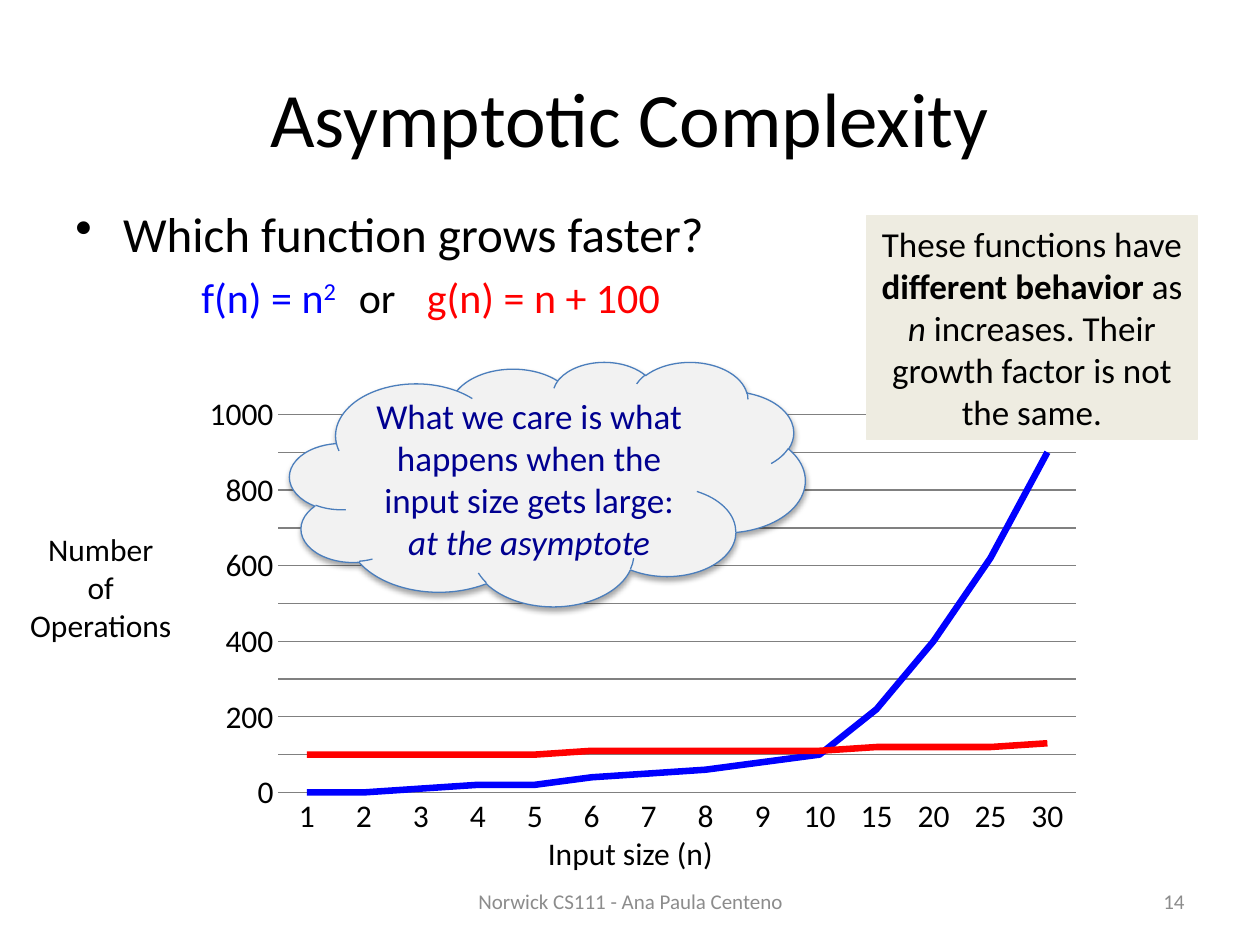
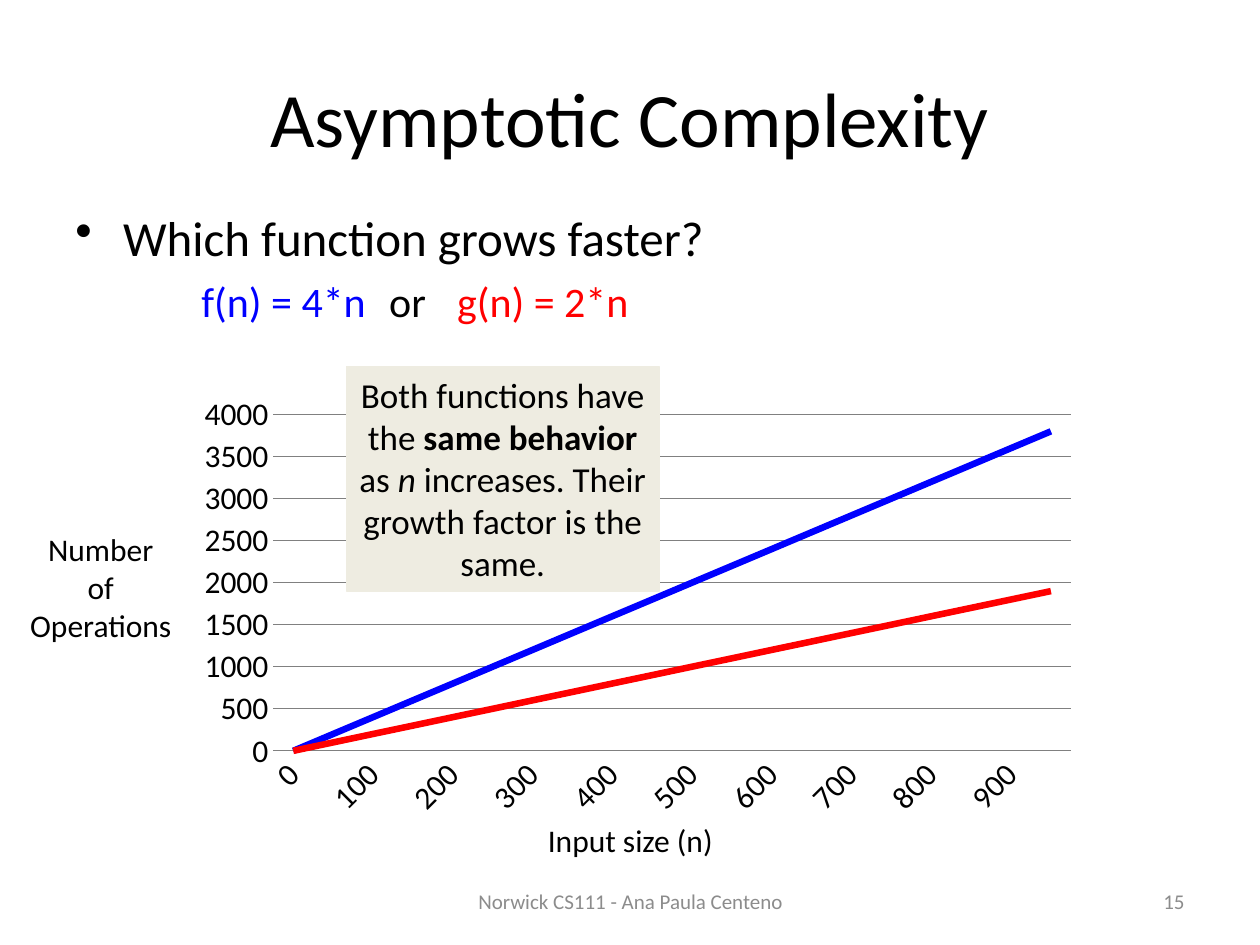
import lxml.etree
import pptx
import pptx.chart.data
import pptx.dml.color
import pptx.enum.chart
import pptx.enum.shapes
import pptx.enum.text
import pptx.oxml.ns
import pptx.util

PX = 9144  # 100 px to the inch
FONT = "Calibri"
BLACK, BLUE, RED, NAVY = "000000", "0000FF", "FF0000", "000090"
GREY, GRID, CREAM, CLOUD, CLOUD_EDGE = "8C8C8C", "808080", "EEECE1", "F2F2F2", "4B7EBC"
ALIGN = pptx.enum.text.PP_ALIGN
MIDDLE = pptx.enum.text.MSO_ANCHOR.MIDDLE
SHAPES = pptx.enum.shapes.MSO_SHAPE
qn = pptx.oxml.ns.qn

TITLE_BOX = (50, 30, 900, 125)
FOOTER_BOX = (342, 695, 317, 40)
NUMBER_BOX = (717, 695, 233, 40)
VALUE_LABEL_BOX = (13, 416, 134, 101)
FOOTER = "Norwick CS111 - Ana Paula Centeno"


def emu(box):
    return [length * PX for length in box]


def rgb(code):
    return pptx.dml.color.RGBColor.from_string(code)


def set_font(font, size, color=BLACK, bold=None, italic=None):
    font.name, font.size = FONT, pptx.util.Pt(size)
    font.color.rgb = rgb(color)
    font.bold, font.italic = bold, italic


def add_spans(para, size, spans):
    """Each span is a text followed by its style."""
    for text, style in spans:
        span = para.add_run()
        span.text = text
        set_font(span.font, size, **style)


def add_label(page, box, text, size, color=BLACK, align=ALIGN.LEFT, wrap=False, anchor=None):
    label = page.shapes.add_textbox(*emu(box))
    frame = label.text_frame
    frame.text = text
    frame.word_wrap, frame.vertical_anchor = wrap, anchor
    for para in frame.paragraphs:
        para.alignment = align
        for span in para.runs:
            set_font(span.font, size, color)


def add_shape(page, kind, box, fill, edge, spans):
    shape = page.shapes.add_shape(kind, *emu(box))
    shape.shadow.inherit = False
    shape.fill.solid()
    shape.fill.fore_color.rgb = rgb(fill)
    shape.line.color.rgb = rgb(edge)
    shape.line.width = pptx.util.Pt(0.75)
    shape.text_frame.word_wrap = True
    shape.text_frame.vertical_anchor = MIDDLE
    para = shape.text_frame.paragraphs[0]
    para.alignment = ALIGN.CENTER
    add_spans(para, 20, spans)
    return shape


def add_page(deck, number):
    page = deck.slides.add_slide(deck.slide_layouts[5])
    # Title
    title = page.shapes.title
    title.left, title.top, title.width, title.height = emu(TITLE_BOX)
    title.text_frame.text = "Asymptotic Complexity"
    title.text_frame.vertical_anchor = MIDDLE
    para = title.text_frame.paragraphs[0]
    para.alignment = ALIGN.CENTER
    set_font(para.runs[0].font, 44)
    # Footer and page number
    add_label(page, FOOTER_BOX, FOOTER, 12, GREY, ALIGN.CENTER, True, MIDDLE)
    add_label(page, NUMBER_BOX, str(number), 12, GREY, ALIGN.RIGHT, True, MIDDLE)
    return page


def add_question(page, box, f_text, g_text, tabs, exponent=""):
    frame = page.shapes.add_textbox(*emu(box)).text_frame
    frame.word_wrap = True
    # Bulleted question
    question = frame.paragraphs[0]
    properties = question._p.get_or_add_pPr()
    properties.set("marL", str(38 * PX))
    properties.set("indent", str(-38 * PX))
    lxml.etree.SubElement(properties, qn("a:buChar")).set("char", "•")
    add_spans(question, 28, [("Which function grows faster?", {})])
    # The two functions, set on tab stops
    functions = frame.add_paragraph()
    functions.space_before = pptx.util.Pt(4.8)
    stops = lxml.etree.SubElement(functions._p.get_or_add_pPr(), qn("a:tabLst"))
    for position in tabs:
        stop = lxml.etree.SubElement(stops, qn("a:tab"))
        stop.set("pos", str(position * PX))
        stop.set("algn", "l")
    add_spans(functions, 24, [("\t" + f_text, {"color": BLUE})])
    if exponent:
        add_spans(functions, 24, [(exponent, {"color": BLUE})])
        functions.runs[-1]._r.get_or_add_rPr().set("baseline", "30000")
    add_spans(functions, 24, [("\tor\t", {}), (g_text, {"color": RED})])


def place_plot(chart, box, plot):
    """Fix the inner plot area, given in page px, as shares of the chart box."""
    area = chart._chartSpace.chart.plotArea
    for old in area.findall(qn("c:layout")):
        area.remove(old)
    layout = lxml.etree.Element(qn("c:layout"))
    area.insert(0, layout)
    manual = lxml.etree.SubElement(layout, qn("c:manualLayout"))
    settings = {
        "layoutTarget": "inner", "xMode": "edge", "yMode": "edge",
        "x": (plot[0] - box[0]) / box[2], "y": (plot[1] - box[1]) / box[3],
        "w": plot[2] / box[2], "h": plot[3] / box[3],
    }
    for name, value in settings.items():
        lxml.etree.SubElement(manual, qn("c:" + name)).set("val", str(value))


def add_growth_chart(page, box, plot, sizes, f_values, g_values, top, step, slanted=False):
    data = pptx.chart.data.CategoryChartData()
    data.categories = [str(size) for size in sizes]
    data.add_series("Series 1", f_values)
    data.add_series("Series 2", g_values)
    kind = pptx.enum.chart.XL_CHART_TYPE.LINE
    chart = page.shapes.add_chart(kind, *emu(box), data).chart
    chart.has_legend = chart.has_title = False
    set_font(chart.font, 18)
    place_plot(chart, box, plot)
    # Lines
    chart.plots[0].vary_by_categories = False
    for series, color in zip(chart.plots[0].series, (BLUE, RED)):
        series.smooth = False
        series.format.line.color.rgb = rgb(color)
        series.format.line.width = pptx.util.Pt(3.75)
    # Axes
    across, up = chart.category_axis, chart.value_axis
    for axis in (across, up):
        axis.major_tick_mark = axis.minor_tick_mark = pptx.enum.chart.XL_TICK_MARK.NONE
        set_font(axis.tick_labels.font, 18)
    up.minimum_scale, up.maximum_scale, up.major_unit = 0, top, step
    up.has_major_gridlines = True
    up.format.line.fill.background()
    for line in (across.format.line, up.major_gridlines.format.line):
        line.color.rgb = rgb(GRID)
        line.width = pptx.util.Pt(0.75)
    if slanted:
        across._element.find(qn("c:txPr")).find(qn("a:bodyPr")).set("rot", "-2700000")
    # Axis titles
    add_label(page, VALUE_LABEL_BOX, "Number\nof\nOperations", 18, align=ALIGN.CENTER)
    add_label(page, (425, box[1] + box[3] - (8 if slanted else 13), 153, 40), "Input size (n)", 18)


def add_note(page, box, opening, behavior):
    add_shape(page, SHAPES.RECTANGLE, box, CREAM, CREAM, [
        (opening, {}), (behavior, {"bold": True}), (" as ", {}), ("n", {"italic": True}),
        (" increases. Their growth factor is "
         + ("not the same." if "different" in behavior else "the same."), {}),
    ])


def add_cloud(page, box):
    cloud = add_shape(page, SHAPES.CLOUD, box, CLOUD, CLOUD_EDGE, [
        ("What we care is what happens when the input size gets large: ", {"color": NAVY}),
        ("at the asymptote", {"color": NAVY, "italic": True}),
    ])
    # Soft shadow below
    effects = cloud._element.spPr.find(qn("a:effectLst"))
    shadow = lxml.etree.SubElement(effects, qn("a:outerShdw"))
    for name, value in (("blurRad", 39370), ("dist", 22860), ("dir", 5400000), ("rotWithShape", 0)):
        shadow.set(name, str(value))
    color = lxml.etree.SubElement(shadow, qn("a:srgbClr"))
    color.set("val", BLACK)
    lxml.etree.SubElement(color, qn("a:alpha")).set("val", "35000")


def build_different_growth(deck):
    page = add_page(deck, 14)
    sizes = [*range(1, 11), *range(15, 31, 5)]
    add_growth_chart(
        page, (153, 306, 716, 364), (221, 329, 633, 300), sizes,
        [round(n * n, -1) for n in sizes], [round(n + 100, -1) for n in sizes], 1000, 100)
    add_question(page, (50, 157, 900, 107), "f(n) = n", "g(n) = n + 100", (100, 225, 279), "2")
    add_cloud(page, (230, 287, 409, 194))
    add_note(page, (688, 171, 262, 178), "These functions have ", "different behavior")


def build_same_growth(deck):
    page = add_page(deck, 15)
    sizes = range(0, 1000, 50)
    add_question(page, (50, 160, 900, 132), "f(n) = 4*n", "g(n) = 2*n", (100, 249, 303))
    add_growth_chart(
        page, (148, 307, 716, 348), (217, 329, 633, 267), sizes,
        [4 * n for n in sizes], [2 * n for n in sizes], 4000, 500, slanted=True)
    add_note(page, (275, 291, 248, 178), "Both functions have the ", "same behavior")


def main():
    deck = pptx.Presentation()
    deck.slide_width, deck.slide_height = 1000 * PX, 750 * PX
    build_different_growth(deck)
    build_same_growth(deck)
    deck.save("out.pptx")


if __name__ == "__main__":
    main()
